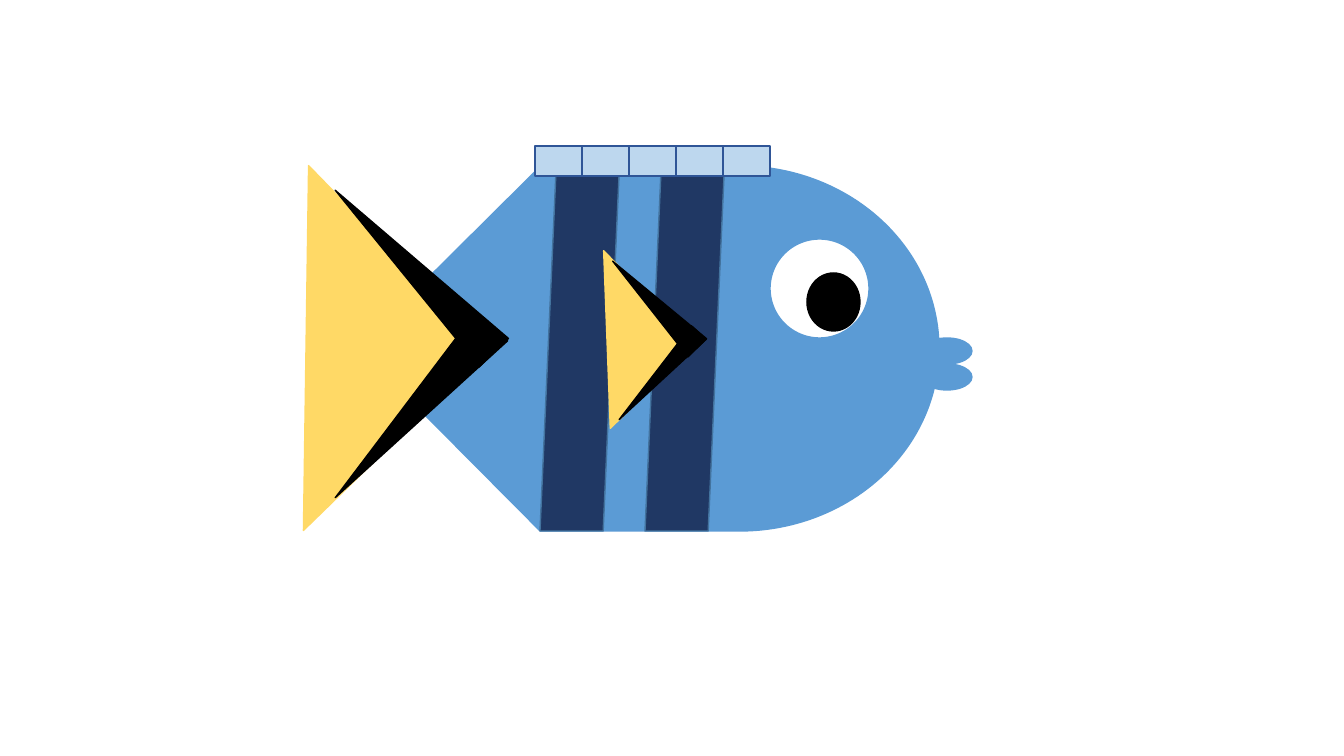
from dataclasses import dataclass

from pptx import Presentation
from pptx.dml.color import RGBColor
from pptx.enum.shapes import MSO_SHAPE
from pptx.shapes.shapetree import SlideShapes
from pptx.util import Emu, Pt

EMU_PER_PX = 914400 / 100.8


@dataclass(frozen=True)
class Paint:
    fill: str
    line: str


@dataclass(frozen=True)
class Theme:
    skin: Paint = Paint("5B9BD5", "5B9BD5")
    eye: Paint = Paint("FFFFFF", "5B9BD5")
    black: Paint = Paint("000000", "000000")
    fin: Paint = Paint("FFD966", "FFD966")
    stripe: Paint = Paint("203864", "43739E")
    scale: Paint = Paint("BDD7EE", "2F5597")
    outline: float = 1


@dataclass(frozen=True)
class Part:
    kind: MSO_SHAPE
    x: int
    y: int
    w: int
    h: int
    paint: Paint
    rotation: float = 0


def px(n: int) -> Emu:
    return Emu(round(n * EMU_PER_PX))


def draw(shapes: SlideShapes, part: Part) -> None:
    sp = shapes.add_shape(part.kind, px(part.x), px(part.y), px(part.w), px(part.h))
    sp.rotation = part.rotation
    sp.shadow.inherit = False
    sp.fill.solid()
    sp.fill.fore_color.rgb = RGBColor.from_string(part.paint.fill)
    sp.line.color.rgb = RGBColor.from_string(part.paint.line)
    sp.line.width = Pt(THEME.outline)


THEME = Theme()
OVAL = MSO_SHAPE.OVAL
CORNER = MSO_SHAPE.RIGHT_TRIANGLE
WEDGE = MSO_SHAPE.ISOSCELES_TRIANGLE
FIN_TURN, UPPER_TURN, LOWER_TURN = 225.8, 315.7, 222.4
SCALE_COUNT, SCALE_W = 5, 47

body = [
    Part(MSO_SHAPE.FLOWCHART_DELAY, 540, 166, 399, 365, THEME.skin),
    Part(CORNER, 411, 220, 258, 257, THEME.skin, 45.2),
]
lips = [Part(OVAL, 922, y, 50, 26, THEME.skin) for y in (338, 364)]
eye = [
    Part(OVAL, 770, 239, 99, 99, THEME.eye),
    Part(OVAL, 807, 273, 53, 58, THEME.black),
]
tail_fin = [
    Part(CORNER, 177, 219, 258, 258, THEME.fin, FIN_TURN),
    Part(WEDGE, 394, 158, 41, 227, THEME.black, UPPER_TURN),
    Part(WEDGE, 392, 296, 43, 232, THEME.black, LOWER_TURN),
]
stripes = [
    Part(MSO_SHAPE.FLOWCHART_DATA, x, 176, 79, 355, THEME.stripe) for x in (540, 645)
]
side_fin = [
    Part(CORNER, 541, 280, 132, 119, THEME.fin, FIN_TURN),
    Part(WEDGE, 642, 244, 26, 121, THEME.black, UPPER_TURN),
    Part(WEDGE, 649, 317, 20, 118, THEME.black, LOWER_TURN),
]
scales = [
    Part(MSO_SHAPE.RECTANGLE, 535 + i * SCALE_W, 146, SCALE_W, 30, THEME.scale)
    for i in reversed(range(SCALE_COUNT))
]

prs = Presentation()
prs.slide_width, prs.slide_height = px(1344), px(756)
slide = prs.slides.add_slide(prs.slide_layouts[6])
for part in body + lips + eye + tail_fin + stripes + side_fin + scales:
    draw(slide.shapes, part)

prs.save("out.pptx")
